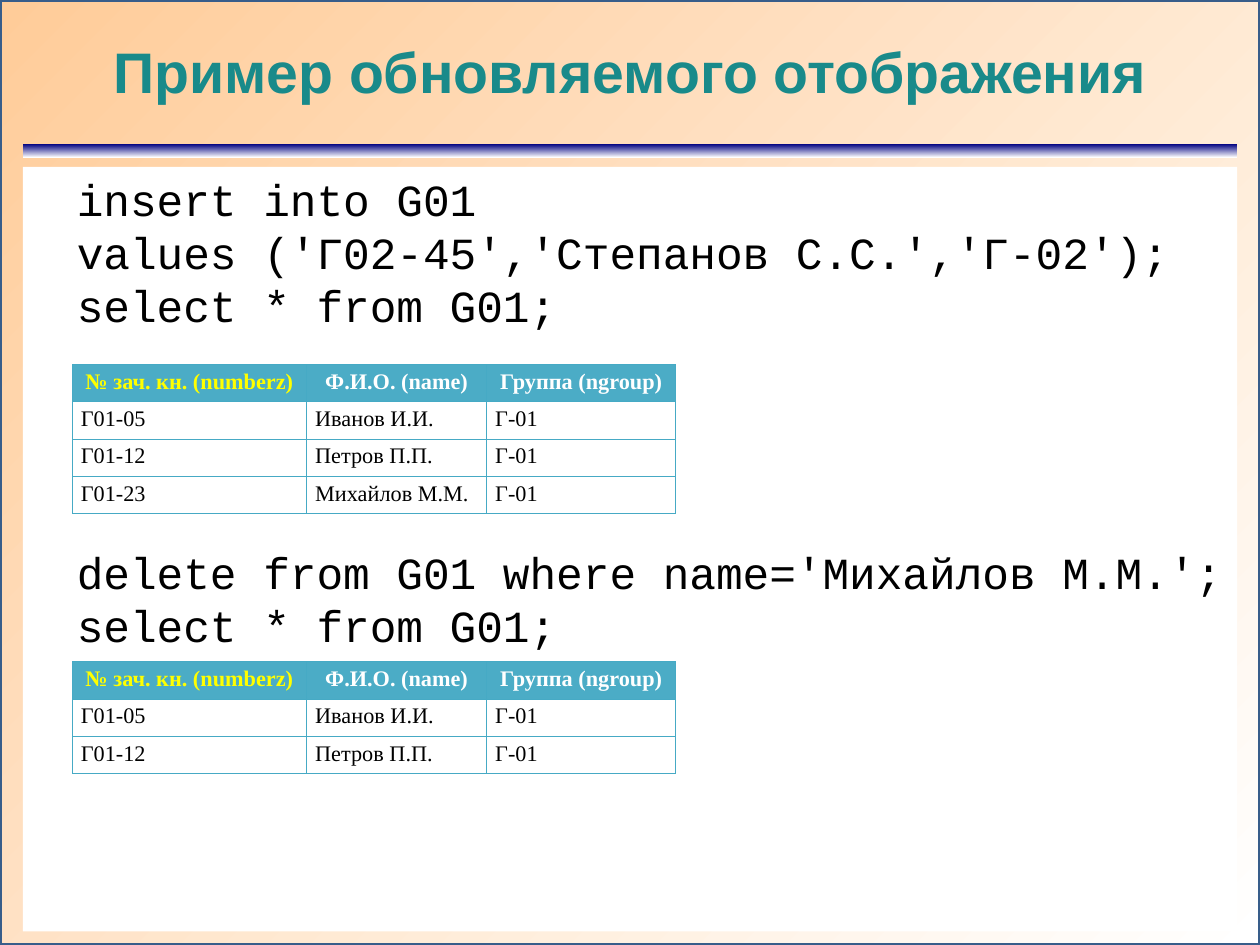
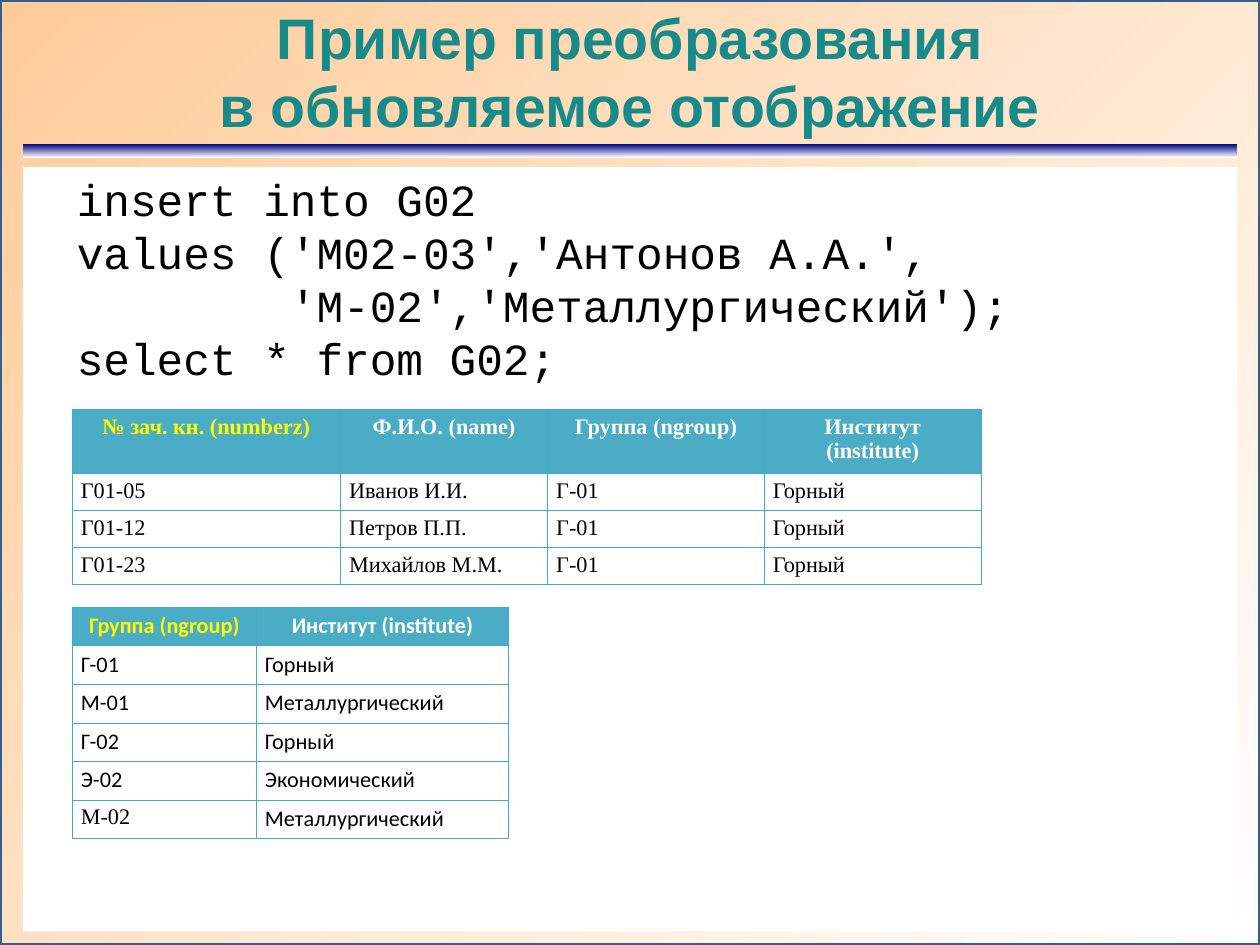
from lxml.etree import SubElement
from pptx import Presentation
from pptx.dml.color import RGBColor
from pptx.enum.shapes import MSO_SHAPE
from pptx.enum.text import MSO_ANCHOR, MSO_AUTO_SIZE, PP_ALIGN
from pptx.oxml import parse_xml
from pptx.oxml.ns import nsdecls, qn
from pptx.util import Pt

WIDTH, HEIGHT = 793.5, 595.4
MARGIN = 14.4
CONTENT_WIDTH = WIDTH - 2 * MARGIN
TABLE_LEFT = 45.5
CODE_LINE = 33.6


def color(value):
    return RGBColor.from_string(value)


class Deck:
    teal, black, white, yellow = "198A8A", "000000", "FFFFFF", "FFFF00"
    peach, navy, frame = "FFCC99", "000080", "385D8A"
    header, border = "4BACC6", "46AAC5"
    title_font, code_font = "Arial", "Courier New"
    serif, sans = "Times New Roman", "Calibri"

    def __init__(self):
        self.presentation = Presentation()
        self.presentation.slide_width = Pt(WIDTH)
        self.presentation.slide_height = Pt(HEIGHT)
        self.slide = None

    def add_slide(self, title):
        layout = self.presentation.slide_layouts[5]
        self.slide = self.presentation.slides.add_slide(layout)
        page = self.gradient_box(0, 0, WIDTH, HEIGHT, self.white, self.peach, 225)
        page.line.color.rgb = color(self.frame)
        page.line.width = Pt(2)
        self.gradient_box(MARGIN, 90.7, CONTENT_WIDTH, 8.6, self.navy, self.white, 90)
        self.title(title)

    def gradient_box(self, left, top, width, height, start, end, angle):
        shape = self.slide.shapes.add_shape(
            MSO_SHAPE.RECTANGLE, Pt(left), Pt(top), Pt(width), Pt(height))
        shape.shadow.inherit = False
        shape.line.fill.background()
        shape.fill.gradient()
        shape.fill.gradient_angle = 360 - angle
        for stop, position, value in zip(shape.fill.gradient_stops, (0, 1), (start, end)):
            stop.position = position
            stop.color.rgb = color(value)
        return shape

    def title(self, text):
        shape = self.slide.shapes.title
        self.slide.shapes.element.append(shape.element)
        shape.left, shape.top = Pt(MARGIN), Pt(MARGIN)
        shape.width, shape.height = Pt(CONTENT_WIDTH), Pt(57)
        frame = shape.text_frame
        self.set_margins(frame, 0, 0)
        frame.margin_top = Pt(4)
        frame.auto_size = MSO_AUTO_SIZE.NONE
        frame.vertical_anchor = MSO_ANCHOR.MIDDLE
        frame.text = text
        paragraph = frame.paragraphs[0]
        paragraph.alignment = PP_ALIGN.CENTER
        paragraph.line_spacing = Pt(42.8)
        self.format_runs(paragraph, self.title_font, 36, self.teal, True)

    def code(self, text):
        shape = self.slide.shapes.add_textbox(
            Pt(MARGIN), Pt(105.1), Pt(CONTENT_WIDTH), Pt(481.7))
        shape.fill.solid()
        shape.fill.fore_color.rgb = color(self.white)
        frame = shape.text_frame
        frame.word_wrap = True
        self.set_margins(frame, 0, 0)
        frame.margin_left, frame.margin_top = Pt(34), Pt(3)
        frame.text = text
        for paragraph in frame.paragraphs:
            paragraph.line_spacing = Pt(CODE_LINE)
            self.format_runs(paragraph, self.code_font, 28, self.black)
        return frame.paragraphs

    def table(self, top, widths, rows, font, row_height, header_height=None):
        heights = [header_height or row_height] + [row_height] * (len(rows) - 1)
        shape = self.slide.shapes.add_table(
            len(rows), len(widths), Pt(TABLE_LEFT), Pt(top),
            Pt(sum(widths)), Pt(sum(heights)))
        table = shape.table
        table.horz_banding = False
        for column, width in zip(table.columns, widths):
            column.width = Pt(width)
        for row, height in zip(table.rows, heights):
            row.height = Pt(height)
        for row_index, values in enumerate(rows):
            for column_index, value in enumerate(values):
                self.fill_cell(table.cell(row_index, column_index), value, font,
                               row_index == 0, column_index == 0)
        return table

    def fill_cell(self, cell, text, font, is_header, is_key):
        cell.fill.solid()
        cell.fill.fore_color.rgb = color(self.header if is_header else self.white)
        self.set_margins(cell, 5.4, 3.3)
        self.set_borders(cell)
        cell.text_frame.text = text
        paragraph = cell.text_frame.paragraphs[0]
        paragraph.alignment = PP_ALIGN.CENTER if is_header else PP_ALIGN.LEFT
        header_color = self.yellow if is_key else self.white
        self.format_runs(paragraph, font, 14,
                         header_color if is_header else self.black, is_header)

    def set_borders(self, cell):
        properties = cell._tc.get_or_add_tcPr()
        for index, side in enumerate(("lnL", "lnR", "lnT", "lnB")):
            line = parse_xml(f'<a:{side} {nsdecls("a")} w="{Pt(0.34)}"/>')
            fill = SubElement(line, qn("a:solidFill"))
            SubElement(fill, qn("a:srgbClr"), val=self.border)
            properties.insert(index, line)

    @staticmethod
    def set_margins(target, horizontal, vertical):
        target.margin_left = target.margin_right = Pt(horizontal)
        target.margin_top = target.margin_bottom = Pt(vertical)

    @staticmethod
    def format_runs(paragraph, font, size, value, bold=False):
        for run in paragraph.runs:
            run.font.name = font
            run.font.size = Pt(size)
            run.font.bold = bold
            run.font.color.rgb = color(value)


STUDENTS = [
    ("№ зач. кн. (numberz)", "Ф.И.О. (name)", "Группа (ngroup)"),
    ("Г01-05", "Иванов И.И.", "Г-01"),
    ("Г01-12", "Петров П.П.", "Г-01"),
    ("Г01-23", "Михайлов М.М.", "Г-01"),
]
INSTITUTES = ["Институт\v(institute)", "Горный", "Горный", "Горный"]
GROUPS = [
    ("Группа (ngroup)", "Институт (institute)"),
    ("Г-01", "Горный"),
    ("М-01", "Металлургический"),
    ("Г-02", "Горный"),
    ("Э-02", "Экономический"),
    ("М-02", "Металлургический"),
]
INSERT_G01 = """insert into G01
values ('Г02-45','Степанов С.С.','Г-02');
select * from G01;
delete from G01 where name='Михайлов М.М.';
select * from G01;"""
INSERT_G02 = """insert into G02
values ('М02-03','Антонов А.А.',
        'М-02','Металлургический');
select * from G02;"""


def main():
    deck = Deck()

    deck.add_slide("Пример обновляемого отображения")
    lines = deck.code(INSERT_G01)
    lines[3].space_before = Pt(4 * CODE_LINE)
    student_widths = (147.6, 113.4, 119)
    deck.table(229.7, student_widths, STUDENTS, deck.serif, 22.8)
    deck.table(416.9, student_widths, STUDENTS[:-1], deck.serif, 22.8)

    deck.add_slide("Пример преобразования\vв обновляемое отображение")
    deck.code(INSERT_G02)
    joined = [(*student, institute) for student, institute in zip(STUDENTS, INSTITUTES)]
    deck.table(257.8, (169, 130.4, 136.5, 136.5), joined, deck.serif, 22.8, 38.6)
    groups = deck.table(382.5, (116, 158.8), GROUPS, deck.sans, 24.3)
    new_group = groups.cell(len(GROUPS) - 1, 0).text_frame.paragraphs[0]
    deck.format_runs(new_group, deck.serif, 14, deck.black)

    deck.presentation.save("out.pptx")


if __name__ == "__main__":
    main()
